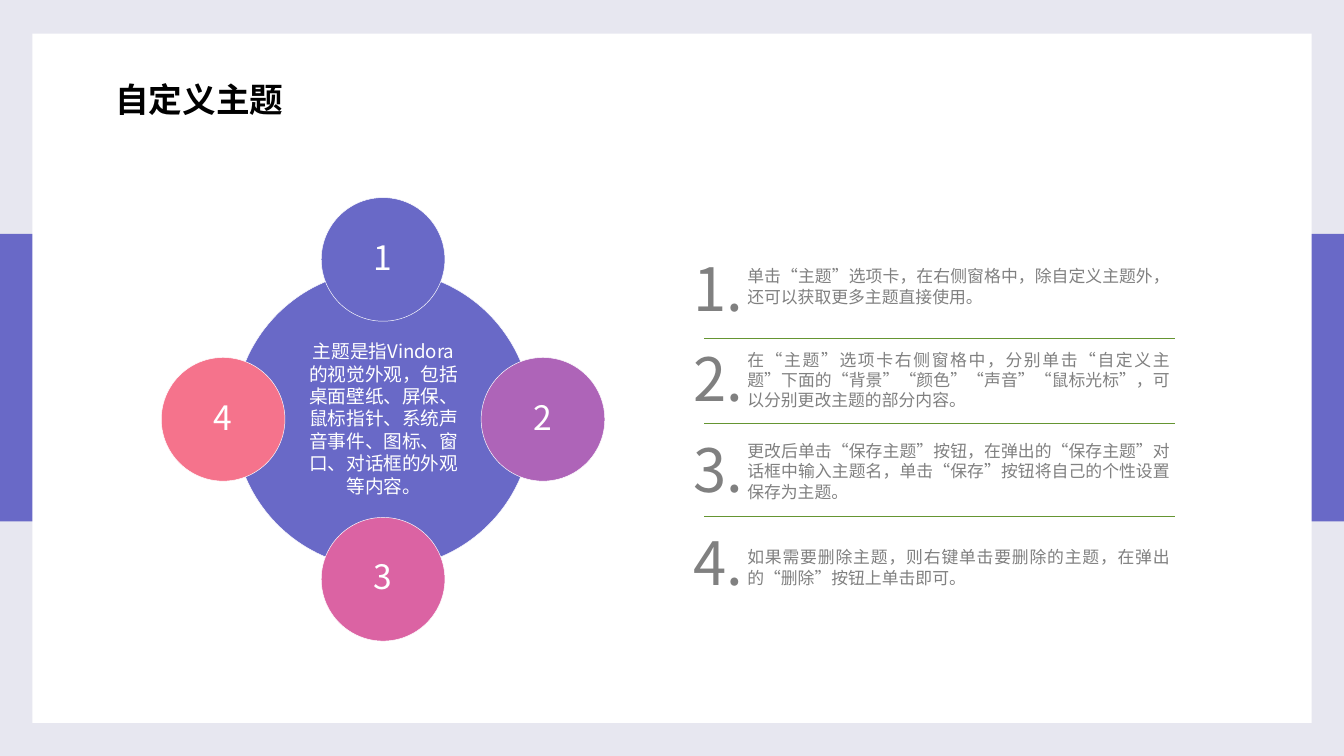
from lxml.etree import SubElement
from pptx import Presentation
from pptx.dml.color import RGBColor
from pptx.enum.lang import MSO_LANGUAGE_ID
from pptx.enum.shapes import MSO_CONNECTOR, MSO_SHAPE
from pptx.enum.text import MSO_ANCHOR, MSO_AUTO_SIZE, PP_ALIGN
from pptx.oxml.ns import qn
from pptx.util import Inches, Pt

COLORS = {
    "backdrop": "E7E7F0",
    "blue": "6969C7",
    "purple": "AE64B8",
    "pink": "DB63A3",
    "coral": "F5738C",
    "white": "FFFFFF",
    "black": "000000",
    "gray": "808080",
    "green": "659532",
}


def color(name):
    return RGBColor.from_string(COLORS[name])


def write(frame, text, size=9, fill="gray", bold=False, align=PP_ALIGN.LEFT,
          anchor=MSO_ANCHOR.TOP, insets=(0.1, 0.05, 0.1, 0.05), font="Noto Sans CJK SC"):
    """Fill a text frame with one formatted paragraph."""
    frame.word_wrap = True
    frame.vertical_anchor = anchor
    (frame.margin_left, frame.margin_top,
     frame.margin_right, frame.margin_bottom) = map(Inches, insets)
    para = frame.paragraphs[0]
    para.alignment = align
    span = para.add_run()
    span.text = text
    span.font.name = font
    span.font.size = Pt(size)
    span.font.bold = bold
    span.font.color.rgb = color(fill)
    span.font.language_id = MSO_LANGUAGE_ID.SIMPLIFIED_CHINESE
    # East Asian glyphs take their own font entry
    SubElement(span.font._element, qn("a:ea"), typeface=font)


class SlideBuilder:
    def __init__(self, page):
        self.page = page
        page.background.fill.solid()
        page.background.fill.fore_color.rgb = color("backdrop")

    def shape(self, kind, left, top, width, height, fill, outline=None):
        shape = self.page.shapes.add_shape(
            kind, Inches(left), Inches(top), Inches(width), Inches(height))
        shape.shadow.inherit = False
        shape.fill.solid()
        shape.fill.fore_color.rgb = color(fill)
        if outline:
            shape.line.color.rgb = color(outline)
            shape.line.width = Pt(0.25)
        else:
            shape.line.fill.background()
        return shape

    def circle(self, center_x, center_y, size, fill):
        return self.shape(MSO_SHAPE.OVAL, center_x - size / 2, center_y - size / 2,
                          size, size, fill, outline="white")

    def text(self, left, top, width, height, text, **style):
        box = self.page.shapes.add_textbox(
            Inches(left), Inches(top), Inches(width), Inches(height))
        write(box.text_frame, text, **style)
        box.text_frame.auto_size = MSO_AUTO_SIZE.SHAPE_TO_FIT_TEXT
        return box

    def divider(self, left, right, y):
        line = self.page.shapes.add_connector(
            MSO_CONNECTOR.STRAIGHT, Inches(left), Inches(y), Inches(right), Inches(y))
        line.line.color.rgb = color("green")
        line.line.width = Pt(0.5)
        SubElement(line._element.spPr, qn("a:effectLst"))


def main():
    deck = Presentation()
    deck.slide_width, deck.slide_height = Inches(10), Inches(10 * 9 / 16)
    builder = SlideBuilder(deck.slides.add_slide(deck.slide_layouts[6]))

    # Frame: side band behind a white panel
    builder.shape(MSO_SHAPE.RECTANGLE, 0, 1.74, 10, 2.14, "blue")
    builder.shape(MSO_SHAPE.RECTANGLE, 0.24, 0.25, 9.52, 5.13, "white")

    # Title
    builder.text(0.76, 0.54, 2.78, 0.4, "自定义主题", size=18, fill="black", bold=True)

    # Hub with four satellites, clockwise from the top
    hub_x, hub_y, orbit = 2.85, 3.12, 1.19
    builder.circle(hub_x, hub_y, 2.22, "blue")
    satellites = [(0, -1, "blue"), (1, 0, "purple"), (0, 1, "pink"), (-1, 0, "coral")]
    for number, (step_x, step_y, fill) in enumerate(satellites, 1):
        satellite = builder.circle(hub_x + step_x * orbit, hub_y + step_y * orbit, 0.92, fill)
        write(satellite.text_frame, str(number), size=18, fill="white",
              align=PP_ALIGN.CENTER, anchor=MSO_ANCHOR.MIDDLE, insets=(0, 0, 0, 0.04))
    builder.text(
        2.17, 2.48, 1.37, 1.28,
        "主题是指Vindora 的视觉外观，包括桌面壁纸、屏保、鼠标指针、系统声音事件、图标、窗口、对话框的外观等内容。",
        size=10, fill="white", align=PP_ALIGN.CENTER)

    # Numbered steps: number top, text top, text height, wording
    steps = [
        (1.85, 1.96, 0.34, "单击“主题”选项卡，在右侧窗格中，除自定义主题外，还可以获取更多主题直接使用。"),
        (2.52, 2.58, 0.49, "在“主题”选项卡右侧窗格中，分别单击“自定义主题”下面的“背景”“颜色”“声音”“鼠标光标”，可以分别更改主题的部分内容。"),
        (3.2, 3.26, 0.49, "更改后单击“保存主题”按钮，在弹出的“保存主题”对话框中输入主题名，单击“保存”按钮将自己的个性设置保存为主题。"),
        (3.89, 4.05, 0.34, "如果需要删除主题，则右键单击要删除的主题，在弹出的“删除”按钮上单击即可。"),
    ]
    for number, (number_top, text_top, height, wording) in enumerate(steps, 1):
        builder.text(5.12, number_top, 0.45, 0.58, f"{number}.", size=32,
                     insets=(0.04, 0.02, 0, 0.02))
        builder.text(5.52, text_top, 3.22, height, wording, align=PP_ALIGN.JUSTIFY,
                     anchor=MSO_ANCHOR.MIDDLE, insets=(0.04, 0.02, 0.04, 0.02))

    # Dividers between the steps
    for y in (2.52, 3.15, 3.84):
        builder.divider(5.24, 8.74, y)

    deck.save("out.pptx")


if __name__ == "__main__":
    main()
